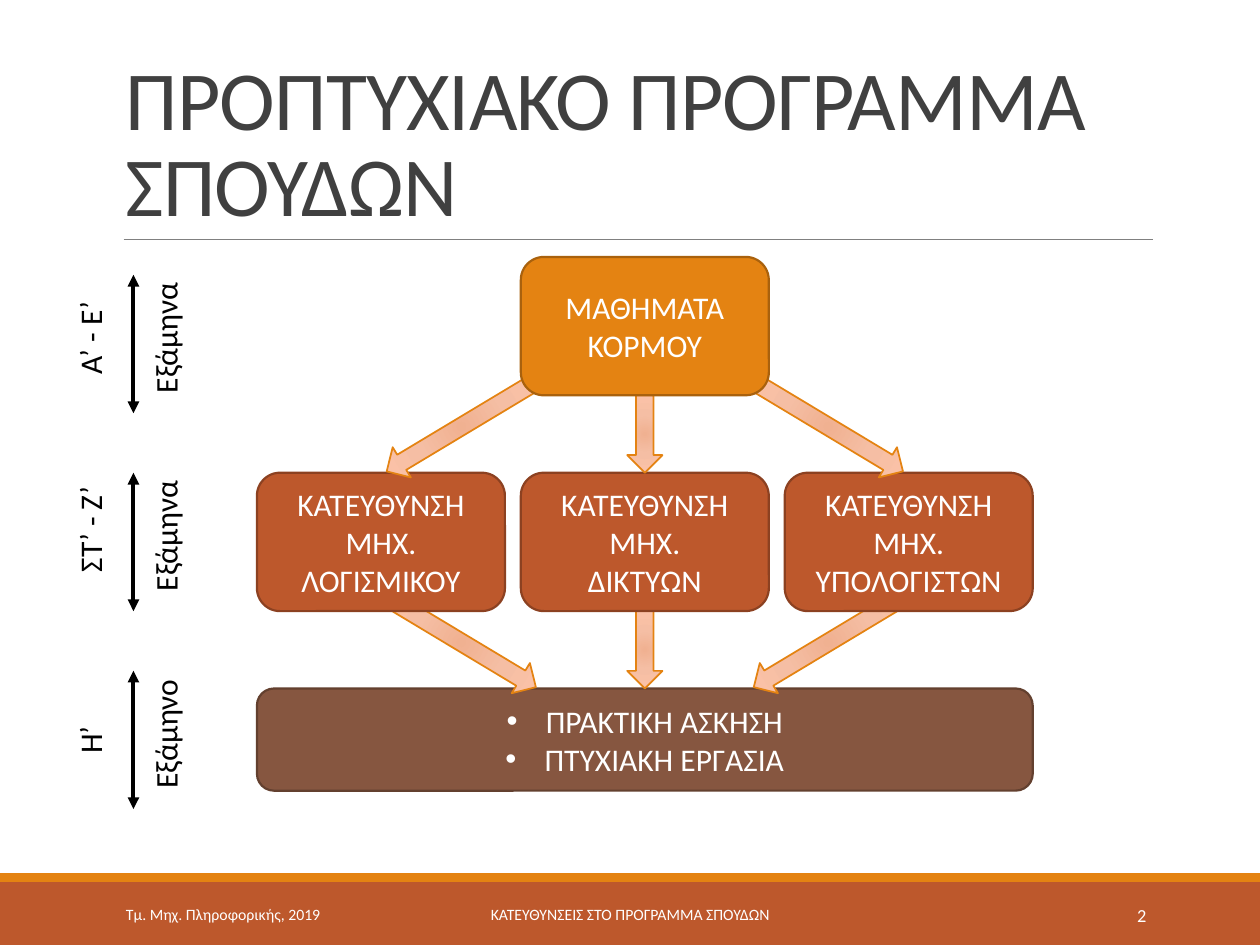
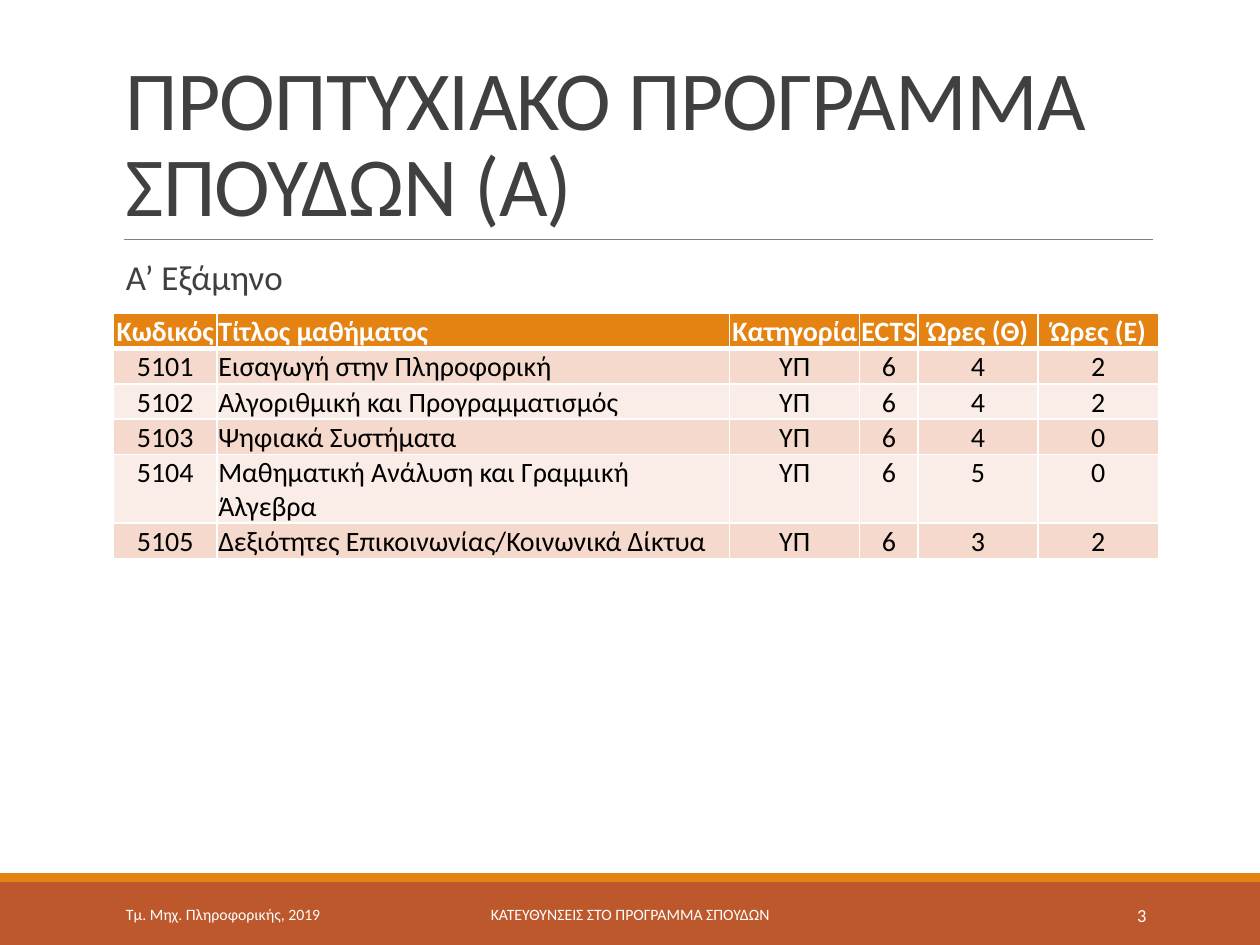
from lxml import etree
from pptx import Presentation
from pptx.dml.color import RGBColor
from pptx.enum.shapes import MSO_CONNECTOR, MSO_SHAPE
from pptx.enum.text import MSO_ANCHOR, PP_ALIGN
from pptx.oxml.ns import qn
from pptx.util import Cm, Pt

RECTANGLE = MSO_SHAPE.RECTANGLE
ROUNDED = MSO_SHAPE.ROUNDED_RECTANGLE
DOWN_ARROW = MSO_SHAPE.DOWN_ARROW
STRAIGHT = MSO_CONNECTOR.STRAIGHT
TOP, MIDDLE, BOTTOM = MSO_ANCHOR.TOP, MSO_ANCHOR.MIDDLE, MSO_ANCHOR.BOTTOM
LEFT, CENTER, RIGHT = PP_ALIGN.LEFT, PP_ALIGN.CENTER, PP_ALIGN.RIGHT

FONT = "Calibri"
COLORS = {
    "white": "FFFFFF",
    "black": "000000",
    "text": "404040",
    "rule": "808080",
    "orange": "E48312",
    "orange_edge": "A9610D",
    "rust": "BD582C",
    "rust_edge": "8C4121",
    "brown": "865640",
    "brown_edge": "63402F",
    "row_dark": "F5D9CC",
    "row_light": "FAEDE7",
}
ARROW_GRADIENT = [(0, "F0B191"), (45, "F5BEA4"), (100, "FDC3A8")]

DEPARTMENT = "Τμ. Μηχ. Πληροφορικής, 2019"
SUBJECT = "ΚΑΤΕΥΘΥΝΣΕΙΣ ΣΤΟ ΠΡΟΓΡΑΜΜΑ ΣΠΟΥΔΩΝ"
TITLE = "ΠΡΟΠΤΥΧΙΑΚΟ ΠΡΟΓΡΑΜΜΑ ΣΠΟΥΔΩΝ"

# Diagram grid, in centimetres
CENTER_X = 13.0
BOX_WIDTH, BOX_HEIGHT = 5.0, 2.79
COLUMN_STEP, ROW_STEP = 5.32, 4.35
FIRST_ROW = 5.18
ROW_GAP = ROW_STEP - BOX_HEIGHT
ARROW_WIDTH, SLANTED_LENGTH = 0.71, 3.51

# Label, its vertical shift, and the word for "semester"
SEMESTERS = [
    ("Α’ - Ε’", -0.12, "Εξάμηνα"),
    ("ΣΤ’ - Ζ’", -0.25, "Εξάμηνα"),
    ("Η’", 0, "Εξάμηνο"),
]
TRACKS = [
    ["ΚΑΤΕΥΘΥΝΣΗ ΜΗΧ. ΛΟΓΙΣΜΙΚΟΥ"],
    ["ΚΑΤΕΥΘΥΝΣΗ", "ΜΗΧ.", "ΔΙΚΤΥΩΝ"],
    ["ΚΑΤΕΥΘΥΝΣΗ ΜΗΧ. ΥΠΟΛΟΓΙΣΤΩΝ"],
]
COURSES = [
    ("Κωδικός", "Τίτλος μαθήματος", "Κατηγορία", "ECTS", "Ώρες (Θ)", "Ώρες (Ε)"),
    ("5101", "Εισαγωγή στην Πληροφορική", "ΥΠ", "6", "4", "2"),
    ("5102", "Αλγοριθμική και Προγραμματισμός", "ΥΠ", "6", "4", "2"),
    ("5103", "Ψηφιακά Συστήματα", "ΥΠ", "6", "4", "0"),
    ("5104", "Μαθηματική Ανάλυση και Γραμμική Άλγεβρα", "ΥΠ", "6", "5", "0"),
    ("5105", "Δεξιότητες Επικοινωνίας/Κοινωνικά Δίκτυα", "ΥΠ", "6", "3", "2"),
]
COURSE_WIDTHS = [2.08, 10.34, 2.62, 1.18, 2.41, 2.44]
COURSE_HEIGHTS = [0.71, 0.71, 0.71, 0.71, 1.37, 0.71]


def rgb(name):
    return RGBColor.from_string(COLORS[name])


def add_child(parent, tag, **attributes):
    return etree.SubElement(parent, qn(tag), attributes)


def border(tag, points):
    """Return a white cell border line."""
    line = etree.Element(qn(tag), w=str(Pt(points)))
    add_child(add_child(line, "a:solidFill"), "a:srgbClr", val=COLORS["white"])
    return line


class Deck:
    def __init__(self):
        self.presentation = Presentation()
        self.presentation.slide_width = Cm(25.4)
        self.presentation.slide_height = Cm(19.05)
        self.slide = None

    def new_slide(self, title, number):
        layout = self.presentation.slide_layouts[6]
        self.slide = self.presentation.slides.add_slide(layout)
        self.shape(RECTANGLE, 0, 17.78, 25.4, 1.27, "rust")
        self.shape(RECTANGLE, 0, 17.6, 25.4, 0.18, "orange")
        self.line(2.49, 4.83, 23.24, 4.83, "rule", 0.5)
        frame = self.text(2.29, 0.79, 20.96, 4.04, [title], 48, "text", anchor=BOTTOM)
        paragraph = frame.paragraphs[0]
        paragraph.line_spacing = 0.85
        paragraph.runs[0].font._element.set("spc", "-50")
        for left, width, words, size, align in (
            (2.29, 5.16, DEPARTMENT, 9, LEFT),
            (7.67, 10.06, SUBJECT, 9, CENTER),
            (20.62, 2.74, str(number), 10.5, RIGHT),
        ):
            self.text(left, 17.93, width, 1.02, [words], size, "white", align, MIDDLE)

    def fill_frame(self, frame, lines, size, color, align=LEFT, bold=False):
        """Fill a text frame with one paragraph per line."""
        for index, words in enumerate(lines):
            paragraph = frame.add_paragraph() if index else frame.paragraphs[0]
            paragraph.alignment = align
            run = paragraph.add_run()
            run.text = words
            run.font.name = FONT
            run.font.size = Pt(size)
            run.font.bold = bold
            run.font.color.rgb = rgb(color)

    def text(self, left, top, width, height, lines, size, color, align=LEFT, anchor=TOP):
        box = self.slide.shapes.add_textbox(Cm(left), Cm(top), Cm(width), Cm(height))
        frame = box.text_frame
        frame.word_wrap = True
        frame.vertical_anchor = anchor
        self.fill_frame(frame, lines, size, color, align)
        return frame

    def vertical_text(self, left, top, words):
        frame = self.text(left, top, 1.27, BOX_HEIGHT, [words], 18, "black", CENTER)
        frame._txBody.bodyPr.set("vert", "vert270")

    def shape(self, kind, left, top, width, height, fill, edge=None, points=1.25):
        shape = self.slide.shapes.add_shape(kind, Cm(left), Cm(top), Cm(width), Cm(height))
        shape.shadow.inherit = False
        shape.fill.solid()
        shape.fill.fore_color.rgb = rgb(fill)
        if edge:
            shape.line.color.rgb = rgb(edge)
            shape.line.width = Pt(points)
        else:
            shape.line.fill.background()
        return shape

    def box(self, left, top, width, height, lines, fill):
        shape = self.shape(ROUNDED, left, top, width, height, fill, fill + "_edge")
        frame = shape.text_frame
        frame.word_wrap = True
        frame.vertical_anchor = MIDDLE
        self.fill_frame(frame, lines, 18, "white", CENTER)
        return frame

    def bullets(self, frame):
        for paragraph in frame.paragraphs:
            properties = paragraph._p.get_or_add_pPr()
            properties.set("marL", str(Cm(0.79)))
            properties.set("indent", str(Cm(-0.79)))
            add_child(properties, "a:buFont", typeface="Arial")
            add_child(properties, "a:buChar", char="•")

    def block_arrow(self, center_x, center_y, length, rotation=0):
        arrow = self.shape(DOWN_ARROW, center_x - ARROW_WIDTH / 2, center_y - length / 2,
                           ARROW_WIDTH, length, "orange", "orange", 1)
        arrow.rotation = rotation
        gradient = etree.Element(qn("a:gradFill"), rotWithShape="1")
        stops = add_child(gradient, "a:gsLst")
        for percent, color in ARROW_GRADIENT:
            stop = add_child(stops, "a:gs", pos=str(percent * 1000))
            add_child(stop, "a:srgbClr", val=color)
        focus = add_child(gradient, "a:path", path="circle")
        add_child(focus, "a:fillToRect", **dict.fromkeys("ltrb", "100000"))
        properties = arrow._element.spPr
        properties.replace(properties.find(qn("a:solidFill")), gradient)

    def line(self, x1, y1, x2, y2, color, points, heads=False):
        connector = self.slide.shapes.add_connector(STRAIGHT, Cm(x1), Cm(y1), Cm(x2), Cm(y2))
        connector.line.color.rgb = rgb(color)
        connector.line.width = Pt(points)
        properties = connector._element.spPr
        if heads:
            outline = properties.find(qn("a:ln"))
            add_child(outline, "a:headEnd", type="triangle")
            add_child(outline, "a:tailEnd", type="triangle")
        add_child(properties, "a:effectLst")

    def table(self, left, top, rows, widths, heights):
        table = self.slide.shapes.add_table(
            len(rows), len(widths), Cm(left), Cm(top), Cm(sum(widths)), Cm(sum(heights))
        ).table
        for column, width in zip(table.columns, widths):
            column.width = Cm(width)
        for row, height in zip(table.rows, heights):
            row.height = Cm(height)
        for row_index, row in enumerate(rows):
            for column_index, words in enumerate(row):
                self.cell(table.cell(row_index, column_index), words, row_index, column_index)

    def cell(self, cell, words, row, column):
        header = row == 0
        cell.margin_left = cell.margin_right = cell.margin_top = Cm(0.03)
        cell.margin_bottom = 0
        cell.vertical_anchor = BOTTOM if header else TOP
        cell.fill.solid()
        fill = "orange" if header else "row_dark" if row % 2 else "row_light"
        cell.fill.fore_color.rgb = rgb(fill)
        self.fill_frame(cell.text_frame, [words], 16, "white" if header else "black",
                        LEFT if column == 1 else CENTER, header)
        edges = {"a:lnL": 1, "a:lnR": 1, "a:lnT": 3 if row == 1 else 1, "a:lnB": 3 if header else 1}
        properties = cell._tc.get_or_add_tcPr()
        for index, (tag, points) in enumerate(edges.items()):
            properties.insert(index, border(tag, points))


def build_diagram(deck):
    deck.new_slide(TITLE, 2)
    left = CENTER_X - COLUMN_STEP - BOX_WIDTH / 2
    top_row, track_row, final_row = (FIRST_ROW + ROW_STEP * row for row in range(3))

    def arrow_fan(row_top, angle):
        """Draw three arrows in the gap under a row; angle turns the outer ones."""
        middle = row_top + BOX_HEIGHT + ROW_GAP / 2
        deck.block_arrow(CENTER_X, middle, ROW_GAP)
        for side in (-1, 1):
            deck.block_arrow(CENTER_X + 3.7 * side, middle - 0.15, SLANTED_LENGTH,
                             -side * angle % 360)

    final_box = deck.box(left, final_row, 2 * COLUMN_STEP + BOX_WIDTH, 2.06,
                         ["ΠΡΑΚΤΙΚΗ ΑΣΚΗΣΗ", "ΠΤΥΧΙΑΚΗ ΕΡΓΑΣΙΑ"], "brown")
    deck.bullets(final_box)
    arrow_fan(track_row, -59)
    for column, lines in enumerate(TRACKS):
        deck.box(left + COLUMN_STEP * column, track_row, BOX_WIDTH, BOX_HEIGHT, lines, "rust")
    arrow_fan(top_row, 59)
    deck.box(left + COLUMN_STEP, top_row, BOX_WIDTH, BOX_HEIGHT, ["ΜΑΘΗΜΑΤΑ ΚΟΡΜΟΥ"], "orange")

    for index, (label, shift, word) in enumerate(SEMESTERS):
        top = 5.54 + 3.99 * index
        deck.line(2.69, top, 2.69, top + BOX_HEIGHT, "black", 2.25, heads=True)
        deck.vertical_text(1.3, top + shift, label)
        deck.vertical_text(2.82, top - 0.12, word)


def build_courses(deck):
    deck.new_slide(TITLE + " (Α)", 3)
    deck.table(2.29, 6.32, COURSES, COURSE_WIDTHS, COURSE_HEIGHTS)
    frame = deck.text(2.29, 5.13, 20.96, 1.1, ["Α’ Εξάμηνο"], 20, "text")
    frame.paragraphs[0].line_spacing = 0.9


def main():
    deck = Deck()
    build_diagram(deck)
    build_courses(deck)
    deck.presentation.save("out.pptx")


if __name__ == "__main__":
    main()
